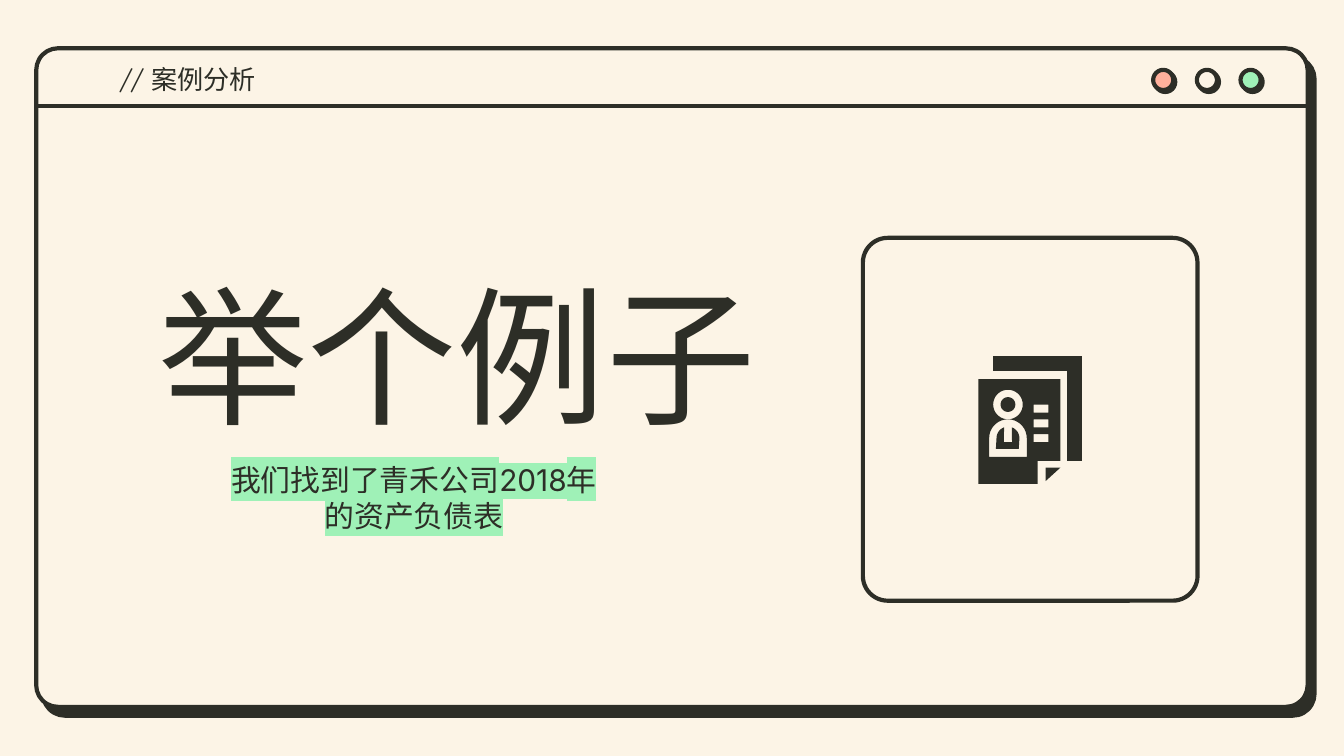
from math import cos, radians, sin

from lxml.etree import SubElement
from pptx import Presentation
from pptx.dml.color import RGBColor
from pptx.enum.shapes import MSO_CONNECTOR, MSO_SHAPE
from pptx.enum.text import MSO_ANCHOR, MSO_AUTO_SIZE, PP_ALIGN
from pptx.oxml.ns import qn
from pptx.util import Inches, Pt

CREAM = RGBColor(0xFC, 0xF4, 0xE6)
INK = RGBColor(0x2D, 0x2E, 0x27)
CORAL = RGBColor(0xFF, 0xB0, 0x9C)
MINT = RGBColor(0x9F, 0xF1, 0xB7)
LINE_WIDTH = Pt(2.25)


def add_hard_shadow(shape, distance, angle):
    effects = shape.element.spPr.find(qn("a:effectLst"))
    shadow = SubElement(effects, qn("a:outerShdw"), blurRad="0", dist=str(Pt(distance)),
                        dir=str(angle * 60000), algn="bl", rotWithShape="0")
    SubElement(shadow, qn("a:srgbClr"), val=str(INK))


def add_outlined(slide, kind, left, top, width, height, fill=None, corner=None):
    shape = slide.shapes.add_shape(kind, Inches(left), Inches(top), Inches(width), Inches(height))
    shape.shadow.inherit = False
    if fill is None:
        shape.fill.background()
    else:
        shape.fill.solid()
        shape.fill.fore_color.rgb = fill
    shape.line.color.rgb = INK
    shape.line.width = LINE_WIDTH
    if corner is not None:
        shape.adjustments[0] = corner
    return shape


def write_text(shape, text, size, font, alignment, highlight=None):
    frame = shape.text_frame
    frame.word_wrap = True
    frame.auto_size = MSO_AUTO_SIZE.NONE
    frame.vertical_anchor = MSO_ANCHOR.MIDDLE
    frame.margin_left = frame.margin_right = Inches(0.1)
    frame.margin_top = frame.margin_bottom = Inches(0.1)
    paragraph = frame.paragraphs[0]
    paragraph.alignment = alignment
    run = paragraph.add_run()
    run.text = text
    run.font.size = Pt(size)
    run.font.color.rgb = INK
    if highlight is not None:
        properties = shape.element.find(".//" + qn("a:rPr"))
        mark = SubElement(properties, qn("a:highlight"))
        SubElement(mark, qn("a:srgbClr"), val=str(highlight))
    run.font.name = font  # the font element has to follow the highlight
    return paragraph


def add_text(slide, left, top, width, height, *text_format):
    box = slide.shapes.add_textbox(Inches(left), Inches(top), Inches(width), Inches(height))
    return write_text(box, *text_format)


def add_window(slide, left, top, width, height):
    # Window body and title bar rule
    body = add_outlined(slide, MSO_SHAPE.ROUNDED_RECTANGLE, left, top, width, height, CREAM, 0.033)
    add_hard_shadow(body, 6, 52)
    bar_bottom = Inches(top + 0.43)
    rule = slide.shapes.add_connector(MSO_CONNECTOR.STRAIGHT, Inches(left), bar_bottom,
                                      Inches(left + width), bar_bottom)
    rule.line.color.rgb = INK
    rule.line.width = LINE_WIDTH
    SubElement(rule.element.spPr, qn("a:effectLst"))
    # Window buttons
    for index, color in enumerate((CORAL, CREAM, MINT)):
        button = add_outlined(slide, MSO_SHAPE.OVAL, left + 8.31 + index * 0.325, top + 0.16,
                              0.15, 0.15, color)
        add_hard_shadow(button, 1.5, 45)
    # Section name
    add_text(slide, left + 0.52, top + 0.05, 4.6, 0.36,
             "// 案例分析", 14, "Quicksand", PP_ALIGN.LEFT)


def add_heading(slide, left, top):
    title = slide.shapes.title
    title.left, title.top = Inches(left), Inches(top)
    title.width, title.height = Inches(5.22), Inches(1.68)
    write_text(title, "举个例子", 80, "Quicksand", PP_ALIGN.CENTER)
    slide.shapes.element.append(title.element)  # bring in front of the window
    paragraph = add_text(slide, left + 0.81, top + 1.68, 2.96, 0.47,
                         "我们找到了青禾公司2018年的资产负债表", 16, "Inter", PP_ALIGN.CENTER, MINT)
    paragraph.space_after = Pt(12)


def rectangle(left, top, right, bottom):
    return [(left, top), (right, top), (right, bottom), (left, bottom)]


def arc(center_x, center_y, radius, start=0, end=360, step=10):
    return [(center_x + radius * cos(radians(angle)), center_y + radius * sin(radians(angle)))
            for angle in range(start, end + 1, step)]


def add_outline(slide, left, top, contours):
    """Fill contours given in inches from (left, top); inner contours are holes."""
    placed = [[(Inches(left + x), Inches(top + y)) for x, y in contour] for contour in contours]
    builder = slide.shapes.build_freeform(*placed[0][0])
    for index, contour in enumerate(placed):
        if index:
            builder.move_to(*contour[0])
        builder.add_line_segments(contour[1:], close=True)
    shape = builder.convert_to_shape()
    shape.shadow.inherit = False
    shape.fill.solid()
    shape.fill.fore_color.rgb = INK
    shape.line.fill.background()


def add_document_icon(slide, left, top):
    # Head and jacket
    add_outline(slide, left, top, [arc(0.22, 0.36, 0.055)])
    jacket = (arc(0.22, 0.61, 0.085, 180, 250) + [(0.19, 0.64), (0.25, 0.64)]
              + arc(0.22, 0.61, 0.085, 290, 360) + [(0.3, 0.69), (0.13, 0.69)])
    add_outline(slide, left, top, [jacket])
    # Front sheet with text lines, head and body cut out
    sheet = [(0, 0.17), (0.61, 0.17), (0.61, 0.78), (0.44, 0.78), (0.44, 0.95), (0, 0.95)]
    text_lines = [rectangle(0.41, y, 0.52, y + 0.06) for y in (0.36, 0.47, 0.58)]
    body = arc(0.22, 0.61, 0.14, 180, 360) + [(0.36, 0.75), (0.08, 0.75)]
    add_outline(slide, left, top, [sheet, *text_lines, arc(0.22, 0.36, 0.11), body])
    # Folded corner
    add_outline(slide, left, top, [[(0.5, 0.83), (0.5, 0.93), (0.61, 0.83)]])
    # Back sheet
    add_outline(slide, left, top, [[(0.11, 0), (0.77, 0), (0.77, 0.78), (0.66, 0.78),
                                    (0.66, 0.11), (0.11, 0.11)]])


def add_icon_card(slide, left, top, width, height):
    add_outlined(slide, MSO_SHAPE.ROUNDED_RECTANGLE, left, top, width, height, corner=0.074)
    add_document_icon(slide, left + 0.86, top + 0.88)


def main():
    presentation = Presentation()
    presentation.slide_width = Inches(10)
    presentation.slide_height = Inches(10 * 9 / 16)
    slide = presentation.slides.add_slide(presentation.slide_layouts[5])
    slide.background.fill.solid()
    slide.background.fill.fore_color.rgb = CREAM
    add_window(slide, 0.27, 0.36, 9.46, 4.9)
    add_icon_card(slide, 6.42, 1.77, 2.49, 2.7)
    add_heading(slide, 0.79, 1.79)
    presentation.save("out.pptx")


if __name__ == "__main__":
    main()
